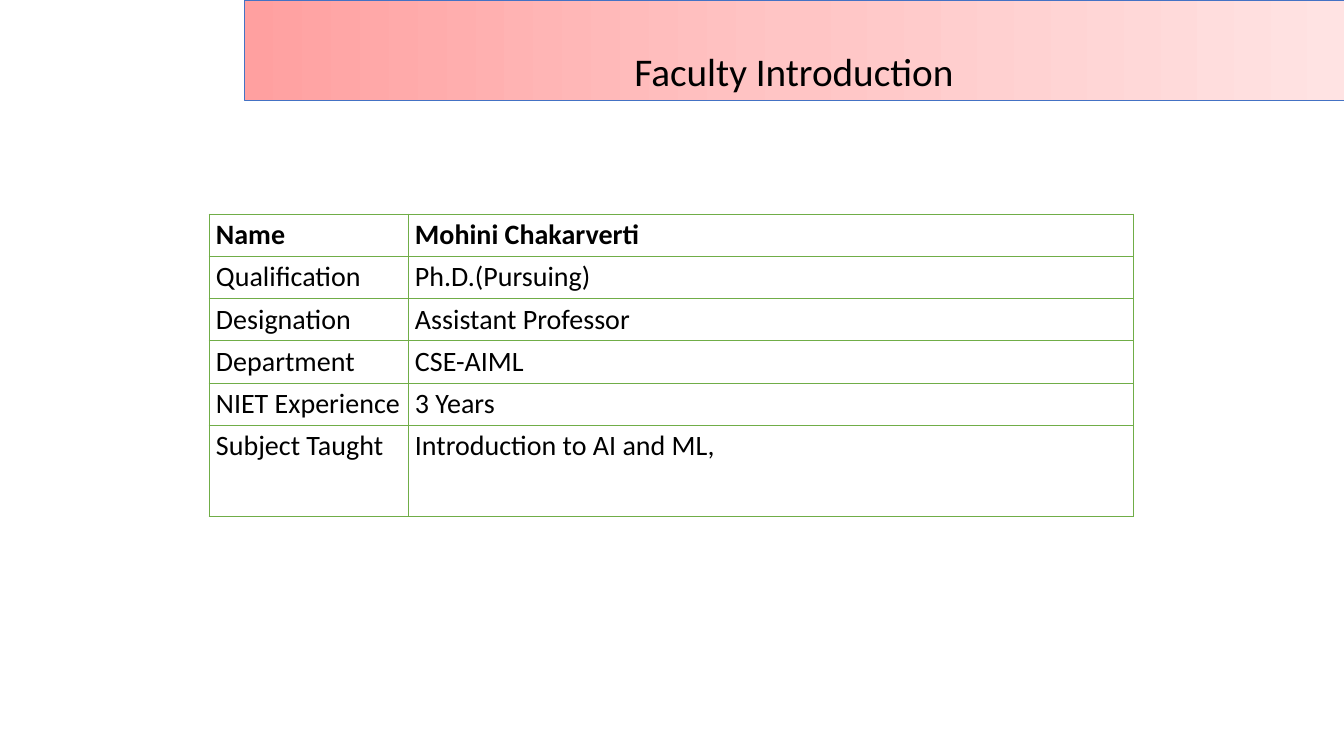
from copy import deepcopy

from lxml.etree import SubElement
from pptx import Presentation
from pptx.dml.color import RGBColor
from pptx.enum.shapes import MSO_SHAPE
from pptx.enum.text import MSO_ANCHOR, PP_ALIGN
from pptx.oxml.ns import qn
from pptx.util import Emu, Pt

BLACK = "000000"
GREEN = "70AD47"
BLUE = "4472C4"
PINKS = ["FFA0A0", "FFC5C5", "FFE3E3"]

FACULTY = [
    ("Name", "Mohini Chakarverti"),
    ("Qualification", "Ph.D.(Pursuing)"),
    ("Designation", "Assistant Professor"),
    ("Department", "CSE-AIML"),
    ("NIET Experience", "3 Years"),
    ("Subject Taught", "Introduction to AI and ML,"),
]
COLUMN_WIDTHS = [199, 726]
ROW_HEIGHTS = [42] * 5 + [91]


def px(count):
    return Emu(round(count * 914400 / 100.8))


def color(code):
    return RGBColor.from_string(code)


def write(frame, text, size=20, bold=False, align=PP_ALIGN.LEFT, spacing=1.0):
    para = frame.paragraphs[0]
    para.alignment = align
    para.line_spacing = spacing
    span = para.add_run()
    span.text = text
    span.font.name = "Calibri"
    span.font.size = Pt(size)
    span.font.bold = bold
    span.font.color.rgb = color(BLACK)


def fill_gradient(shape, codes):
    """Spread the colours evenly from left to right."""
    fill = shape.fill
    fill.gradient()
    fill.gradient_angle = 0
    stop_list = fill._fill._gradFill.find(qn("a:gsLst"))
    for _ in codes[2:]:
        stop_list.append(deepcopy(stop_list[0]))
    for index, (stop, code) in enumerate(zip(fill.gradient_stops, codes)):
        stop.position = index / (len(codes) - 1)
        stop.color.rgb = color(code)


def add_banner(page, text):
    box = page.shapes.add_shape(MSO_SHAPE.RECTANGLE, px(244), px(0), px(1100), px(100))
    box.shadow.inherit = False
    fill_gradient(box, PINKS)
    box.line.color.rgb = color(BLUE)
    box.line.width = Pt(0.5)
    frame = box.text_frame
    frame.word_wrap = True
    frame.vertical_anchor = MSO_ANCHOR.BOTTOM
    write(frame, text, size=28, align=PP_ALIGN.CENTER, spacing=0.9)


def set_borders(cell, **widths):
    """Draw green cell borders; the keys L, R, T and B give points."""
    properties = cell._tc.get_or_add_tcPr()
    for side, width in widths.items():
        line = SubElement(properties, qn(f"a:ln{side}"), w=str(Pt(width)))
        solid = SubElement(line, qn("a:solidFill"))
        SubElement(solid, qn("a:srgbClr"), val=GREEN)


def add_faculty_table(page):
    table = page.shapes.add_table(
        len(FACULTY), len(COLUMN_WIDTHS), px(209), px(214),
        px(sum(COLUMN_WIDTHS)), px(sum(ROW_HEIGHTS)),
    ).table
    table.first_row = True
    table.horz_banding = False
    for column, width in zip(table.columns, COLUMN_WIDTHS):
        column.width = px(width)
    for row, height in zip(table.rows, ROW_HEIGHTS):
        row.height = px(height)
    for row_index, texts in enumerate(FACULTY):
        for column_index, text in enumerate(texts):
            cell = table.cell(row_index, column_index)
            cell.margin_left = cell.margin_right = px(7)
            cell.margin_top = cell.margin_bottom = px(4)
            set_borders(cell, L=0.75, R=0.75,
                        T=1.13 if row_index == 1 else 0.75,
                        B=1.13 if row_index == 0 else 0.75)
            cell.fill.background()
            last = row_index == len(FACULTY) - 1 and column_index == 1
            write(cell.text_frame, text, bold=row_index == 0,
                  align=PP_ALIGN.JUSTIFY if last else PP_ALIGN.LEFT)


def main():
    deck = Presentation()
    deck.slide_width, deck.slide_height = px(1344), px(756)
    page = deck.slides.add_slide(deck.slide_layouts[6])
    add_banner(page, "Faculty Introduction")
    add_faculty_table(page)
    deck.save("out.pptx")


if __name__ == "__main__":
    main()
